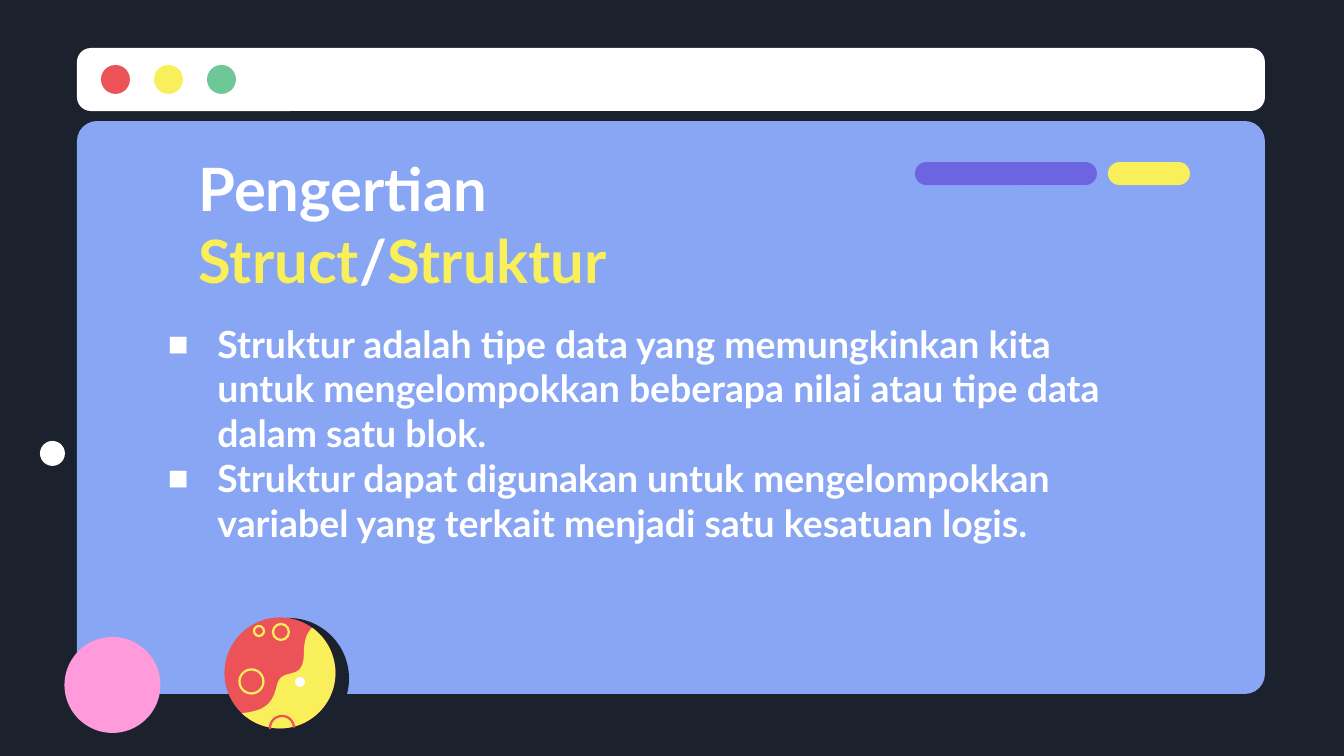
from math import cos, radians, sin

from lxml import etree
from pptx import Presentation
from pptx.dml.color import RGBColor
from pptx.enum.shapes import MSO_SHAPE
from pptx.enum.text import MSO_ANCHOR, MSO_AUTO_SIZE, PP_ALIGN
from pptx.oxml.ns import qn
from pptx.util import Emu, Pt

ROUNDED, OVAL = MSO_SHAPE.ROUNDED_RECTANGLE, MSO_SHAPE.OVAL
TOP, LEFT, NO_AUTOFIT = MSO_ANCHOR.TOP, PP_ALIGN.LEFT, MSO_AUTO_SIZE.NONE

NIGHT = RGBColor(0x1B, 0x22, 0x2D)
BLUE = RGBColor(0x88, 0xA6, 0xF3)
WHITE = RGBColor(0xFF, 0xFF, 0xFF)
RED = RGBColor(0xEB, 0x53, 0x58)
YELLOW = RGBColor(0xF8, 0xEF, 0x5B)
GREEN = RGBColor(0x6D, 0xC7, 0x97)
PURPLE = RGBColor(0x6D, 0x65, 0xE0)
PINK = RGBColor(0xFF, 0x9B, 0xDA)

SCALE = 914400 / 134.4
PLANET_X, PLANET_Y, PLANET_RADIUS = 280, 673, 55.5


def px(value):
    return Emu(round(value * SCALE))


def paint(shape, fill=None, line=None, width=1.2):
    shape.shadow.inherit = False
    if fill is None:
        shape.fill.background()
    else:
        shape.fill.solid()
        shape.fill.fore_color.rgb = fill
    if line is None:
        shape.line.fill.background()
    else:
        shape.line.color.rgb = line
        shape.line.width = Pt(width)


def add_rounded(slide, box, color, adjustment=0.5):
    shape = slide.shapes.add_shape(ROUNDED, *map(px, box))
    shape.adjustments[0] = adjustment
    paint(shape, color)


def add_circle(slide, x, y, radius, fill=None, line=None):
    box = (x - radius, y - radius, 2 * radius, 2 * radius)
    paint(slide.shapes.add_shape(OVAL, *map(px, box)), fill, line)


def arc(x, y, radius, start, end, steps=40):
    angles = [radians(start + (end - start) * i / steps) for i in range(steps + 1)]
    return [(x + radius * cos(a), y + radius * sin(a)) for a in angles]


def bezier(a, b, c, d, steps=12):
    def blend(t, axis):
        u = 1 - t
        return (u**3 * a[axis] + 3 * u * u * t * b[axis]
                + 3 * u * t * t * c[axis] + t**3 * d[axis])
    return [(blend(i / steps, 0), blend(i / steps, 1)) for i in range(1, steps + 1)]


def add_outline(slide, points, close, fill=None, line=None):
    points = [(px(x), px(y)) for x, y in points]
    builder = slide.shapes.build_freeform(*points[0], scale=1.0)
    builder.add_line_segments(points[1:], close=close)
    paint(builder.convert_to_shape(), fill, line)


def add_planet(slide):
    add_circle(slide, 288.5, 678.5, 60.5, NIGHT)
    add_circle(slide, PLANET_X, PLANET_Y, PLANET_RADIUS, RED)
    # Yellow side: outer rim, then the wavy border back to the top
    land = arc(PLANET_X, PLANET_Y, PLANET_RADIUS, -54.6, 133.6)
    land += bezier(land[-1], (265, 711), (273, 704), (277, 685))
    land += bezier(land[-1], (282, 665), (304, 684), (304, 653))
    land += bezier(land[-1], (304, 638), (308, 632), land[0])
    add_outline(slide, land, True, YELLOW)
    # Craters
    for x, y, radius in ((259, 631, 5), (281, 632, 8), (251.5, 681.5, 12)):
        add_circle(slide, x, y, radius, line=YELLOW)
    add_outline(slide, arc(282, 728, 12, 175, 358), False, line=RED)
    add_circle(slide, 300, 682, 5, WHITE)


def fill_placeholder(slide, placeholder, box, size, paragraphs):
    slide.shapes._spTree.append(placeholder._element)
    left, top, width, height = map(px, box)
    frame = placeholder.text_frame
    settings = (
        (placeholder, {"left": left, "top": top, "width": width, "height": height}),
        (frame, {"word_wrap": True, "vertical_anchor": TOP, "auto_size": NO_AUTOFIT}),
    )
    for target, values in settings:
        for name, value in values.items():
            setattr(target, name, value)
    spacing = {"alignment": LEFT, "line_spacing": 1.0,
               "space_before": Pt(0), "space_after": Pt(0)}
    font = {"name": "Lato", "size": Pt(size), "bold": True}
    for index, runs in enumerate(paragraphs):
        paragraph = frame.add_paragraph() if index else frame.paragraphs[0]
        for name, value in spacing.items():
            setattr(paragraph, name, value)
        for text, color in runs:
            run = paragraph.add_run()
            run.text = text
            for name, value in font.items():
                setattr(run.font, name, value)
            run.font.color.rgb = color
    return frame.paragraphs


def add_bullet(paragraph):
    properties = paragraph._p.get_or_add_pPr()
    properties.set("marL", str(px(51)))
    properties.set("indent", str(-px(51)))
    color = etree.SubElement(properties, qn("a:buClr"))
    etree.SubElement(color, qn("a:srgbClr"), val=str(WHITE))
    etree.SubElement(properties, qn("a:buSzPct"), val="180000")
    etree.SubElement(properties, qn("a:buFont"), typeface="Arial")
    etree.SubElement(properties, qn("a:buChar"), char="▪")


def main():
    presentation = Presentation()
    presentation.slide_width, presentation.slide_height = px(1344), px(756)
    slide = presentation.slides.add_slide(presentation.slide_layouts[1])
    slide.background.fill.solid()
    slide.background.fill.fore_color.rgb = NIGHT

    # Browser window
    add_rounded(slide, (77, 121, 1188, 573), BLUE, 0.035)
    add_rounded(slide, (77, 48, 1188, 63), WHITE, 0.22)
    for index, color in enumerate((RED, YELLOW, GREEN)):
        add_circle(slide, 115.5 + 53 * index, 79.5, 14.5, color)
    add_rounded(slide, (915, 162, 182, 23), PURPLE)
    add_rounded(slide, (1108, 162, 82, 23), YELLOW)

    # Decoration
    add_circle(slide, 52.5, 453.5, 12.5, WHITE)
    add_circle(slide, 112.5, 685, 48, PINK)
    add_planet(slide)

    # Text
    title, body = slide.placeholders
    fill_placeholder(slide, title, (185, 145, 585, 159), 32, [
        [("Pengertian", WHITE)],
        [("Struct", YELLOW), ("/", WHITE), ("Struktur", YELLOW)],
    ])
    points = fill_placeholder(slide, body, (153, 314, 984, 238), 20, [
        [("Struktur adalah tipe data yang memungkinkan kita untuk "
          "mengelompokkan beberapa nilai atau tipe data dalam satu blok.", WHITE)],
        [("Struktur dapat digunakan untuk mengelompokkan variabel yang "
          "terkait menjadi satu kesatuan logis.", WHITE)],
    ])
    for point in points:
        add_bullet(point)

    presentation.save("out.pptx")


main()
